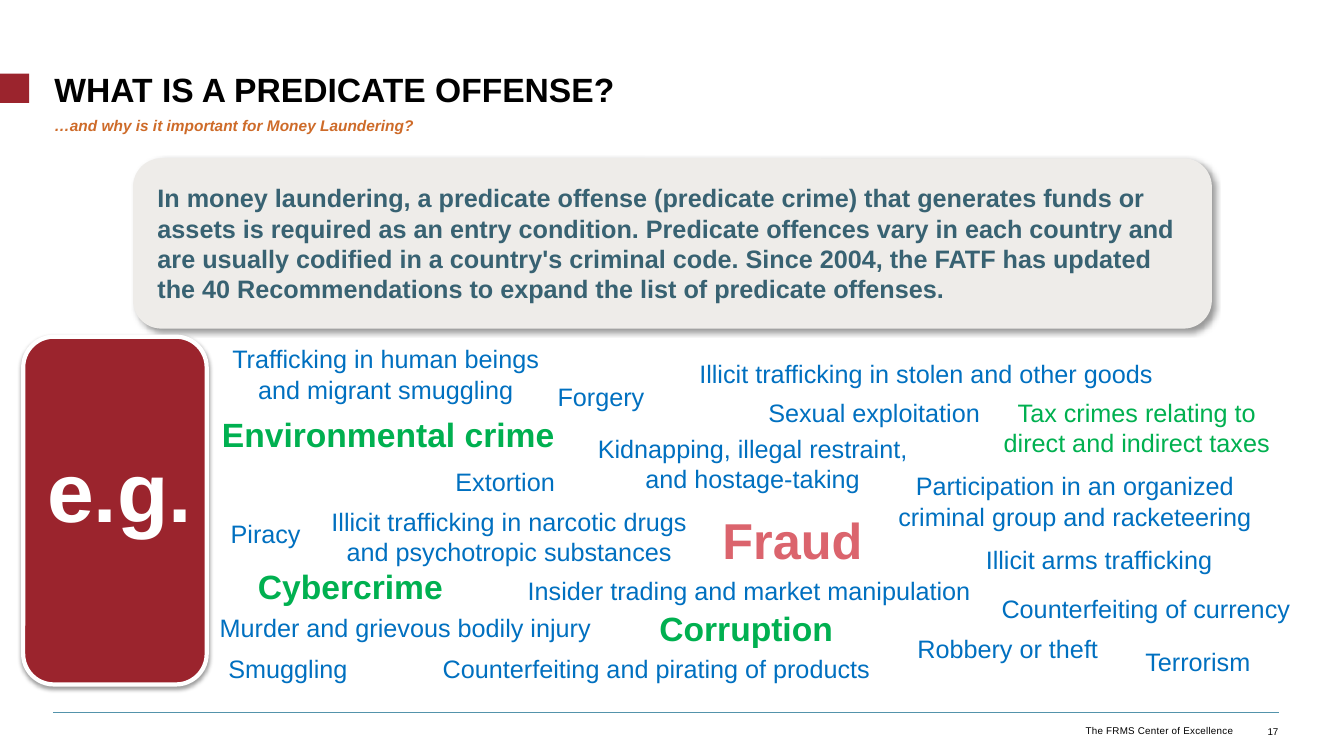
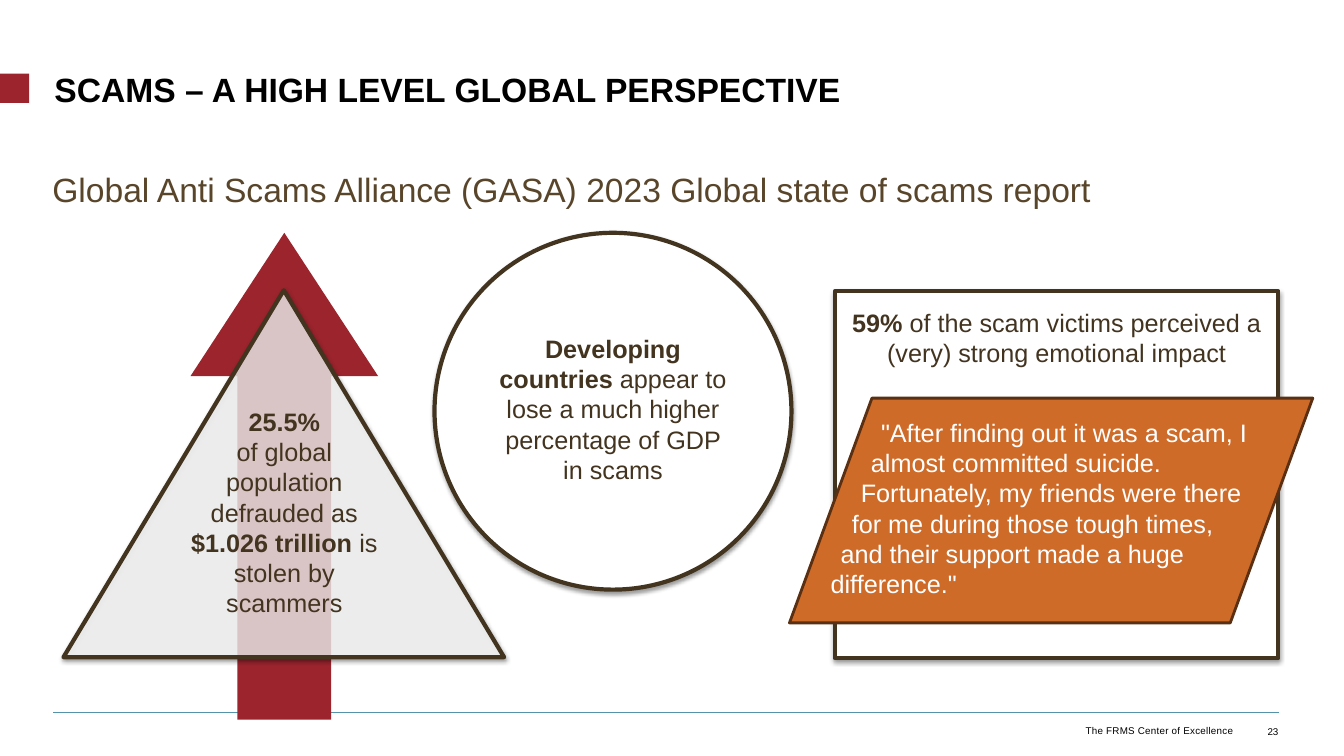
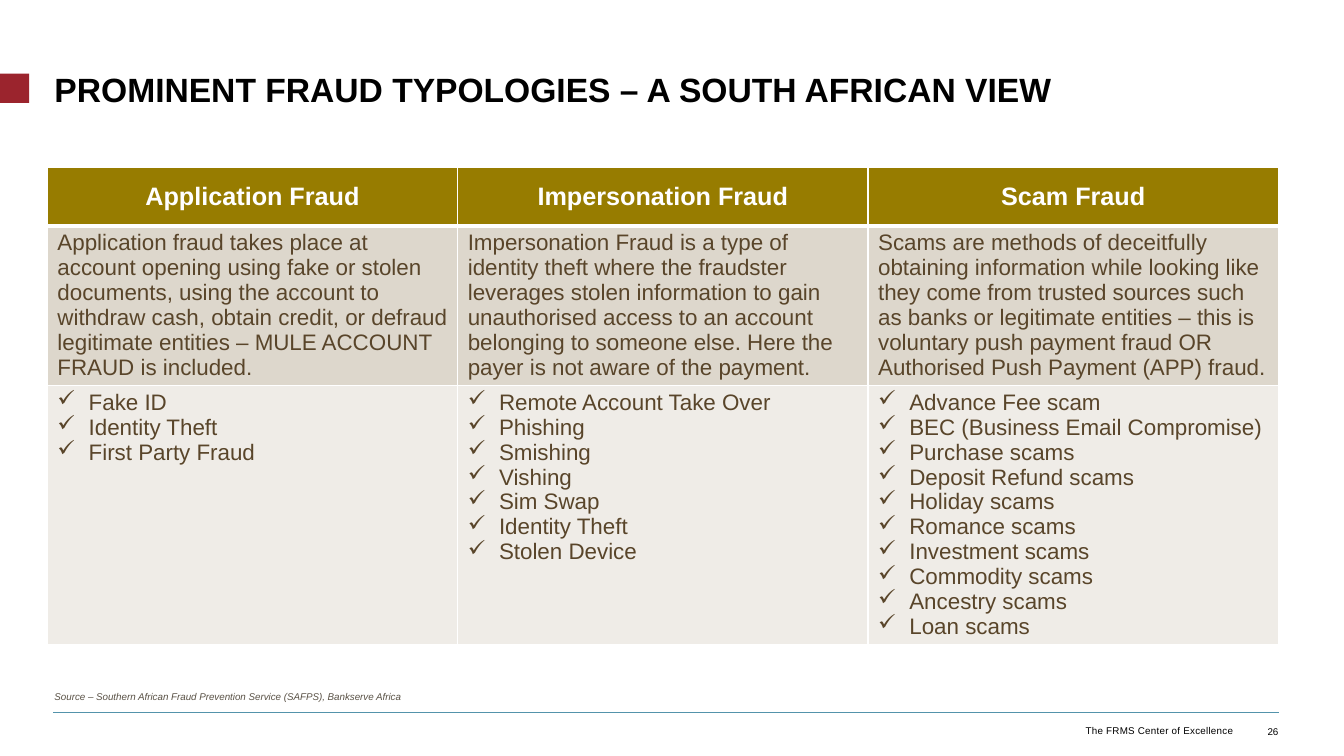
from dataclasses import dataclass

from lxml.etree import SubElement
from pptx import Presentation
from pptx.dml.color import RGBColor
from pptx.enum.shapes import MSO_CONNECTOR as Connector, MSO_SHAPE as Shape
from pptx.enum.text import MSO_ANCHOR as Anchor, MSO_AUTO_SIZE as AutoSize, PP_ALIGN as Align
from pptx.oxml.ns import qn
from pptx.util import Inches, Pt

# Shared look
FONT = "Arial"
BLACK, WHITE = "000000", "FFFFFF"
RED, ORANGE, ROSE = "9B242D", "CE6B29", "DB646D"
BLUE, GREEN, TEAL, SLATE = "0070C0", "00B050", "5393AB", "386272"
BROWN, DARK_BROWN, RUST, GREY = "59452A", "433420", "5A2F12", "595145"
PALE, GOLD, SAND, CREAM = "EEECE9", "977C00", "DDD7CC", "EFECE7"
FOOTER = "The FRMS Center of Excellence"
TITLE_AND_BODY, TITLE_ONLY = 1, 5
NO_INSETS = (0, 0, 0, 0)
USUAL_INSETS = (0.1, 0.05, 0.1, 0.05)


@dataclass
class Box:
    left: float
    top: float
    width: float
    height: float

    def lengths(self):
        return [Inches(v) for v in (self.left, self.top, self.width, self.height)]


@dataclass
class Para:
    """Spans are strings, or (text, bold) pairs."""
    spans: list
    margin: float = 0
    indent: float = 0
    bullet: str = ""


@dataclass
class Shadow:
    alpha: int
    blur: float
    distance: float
    angle: int


@dataclass
class Phrase:
    text: str
    box: Box
    size: int = 18
    color: str = BLUE
    bold: bool = False


@dataclass
class Typology:
    name: str
    definition: str
    examples: list


SOFT = Shadow(38, 3.1, 1.6, 90)


def rgb(color: str) -> RGBColor:
    return RGBColor.from_string(color)


def write(frame, paras, size=18, color=BLACK, bold=False, italic=False, align=Align.LEFT,
          spacing=None, tracking=None) -> None:
    """Fill a text frame; paras is a string or a list of Para."""
    if isinstance(paras, str):
        paras = [Para([paras])]
    for index, item in enumerate(paras):
        para = frame.paragraphs[0] if index == 0 else frame.add_paragraph()
        para.alignment = align
        para.space_before = Pt(0)
        if spacing:
            para.line_spacing = Pt(spacing)
        props = para._p.get_or_add_pPr()
        props.set("marL", str(Inches(item.margin)))
        props.set("indent", str(Inches(item.indent)))
        if item.bullet:
            SubElement(props, qn("a:buChar")).set("char", item.bullet)
        else:
            SubElement(props, qn("a:buNone"))
        for part in item.spans:
            text, heavy = (part, bold) if isinstance(part, str) else part
            span = para.add_run()
            span.text = text
            span.font.name, span.font.size = FONT, Pt(size)
            span.font.bold, span.font.italic = heavy, italic
            span.font.color.rgb = rgb(color)
            if tracking:
                span._r.get_or_add_rPr().set("spc", str(round(tracking * 100)))


def set_frame(frame, insets=USUAL_INSETS, anchor=Anchor.TOP, grow=False) -> None:
    frame.word_wrap = True
    frame.auto_size = AutoSize.SHAPE_TO_FIT_TEXT if grow else AutoSize.NONE
    frame.vertical_anchor = anchor
    (frame.margin_left, frame.margin_top,
     frame.margin_right, frame.margin_bottom) = [Inches(v) for v in insets]


def add_text(page, box: Box, paras, insets=USUAL_INSETS, anchor=Anchor.TOP, grow=True, **style):
    frame = page.shapes.add_textbox(*box.lengths()).text_frame
    set_frame(frame, insets, anchor, grow)
    write(frame, paras, **style)


def fill_placeholder(holder, box: Box, text: str, anchor=Anchor.TOP, **style) -> None:
    holder.left, holder.top, holder.width, holder.height = box.lengths()
    set_frame(holder.text_frame, NO_INSETS, anchor)
    write(holder.text_frame, text, **style)


def add_figure(page, kind, box: Box, fill: str, line=None, weight=3.0, shadow=None,
               opacity=None, adjust=()):
    figure = page.shapes.add_shape(kind, *box.lengths())
    figure.shadow.inherit = False
    for index, value in enumerate(adjust):
        figure.adjustments[index] = value
    figure.fill.solid()
    figure.fill.fore_color.rgb = rgb(fill)
    props = figure._element.spPr
    if opacity:
        tint = props.find(qn("a:solidFill"))[0]
        SubElement(tint, qn("a:alpha")).set("val", str(opacity * 1000))
    if line:
        figure.line.color.rgb = rgb(line)
        figure.line.width = Pt(weight)
    else:
        figure.line.fill.background()
    if shadow:
        outer = SubElement(props.find(qn("a:effectLst")), qn("a:outerShdw"),
                           blurRad=str(Pt(shadow.blur)), dist=str(Pt(shadow.distance)),
                           dir=str(shadow.angle * 60000), rotWithShape="0")
        tint = SubElement(outer, qn("a:srgbClr"), val=BLACK)
        SubElement(tint, qn("a:alpha"), val=str(shadow.alpha * 1000))
    return figure


def add_page(deck, layout: int, title: str, number: int):
    """Start a slide with the title, red marker, footer rule and footer."""
    page = deck.slides.add_slide(deck.slide_layouts[layout])
    add_figure(page, Shape.RECTANGLE, Box(0, 0.73, 0.29, 0.29), RED)
    rule = page.shapes.add_connector(Connector.STRAIGHT, Inches(0.53), Inches(7.07),
                                     Inches(12.69), Inches(7.07))
    rule.line.color.rgb = rgb(TEAL)
    rule.line.width = Pt(0.5)
    SubElement(rule._element.spPr, qn("a:effectLst"))
    fill_placeholder(page.shapes.title, Box(0.54, 0.71, 12.15, 0.32), title, Anchor.MIDDLE,
                     size=24, bold=True, spacing=30.7)
    add_text(page, Box(12.08, 7.14, 0.6, 0.23), str(number), (0, 0.05, 0, 0.05),
             Anchor.MIDDLE, grow=False, size=7, align=Align.RIGHT)
    add_text(page, Box(7.83, 7.14, 4.5, 0.23), FOOTER, grow=False, size=7,
             align=Align.RIGHT, tracking=0.2)
    return page


PHRASES = [
    Phrase("Participation in an organized criminal group and racketeering",
           Box(8.65, 4.62, 4.02, 0.71)),
    Phrase("Terrorism", Box(11.07, 6.36, 1.62, 0.4)),
    Phrase("Trafficking in human beings and migrant smuggling", Box(2.13, 3.36, 3.39, 0.71)),
    Phrase("Sexual exploitation", Box(7.35, 3.89, 2.64, 0.4)),
    Phrase("Illicit trafficking in narcotic drugs and psychotropic substances",
           Box(3.13, 4.97, 3.84, 0.71)),
    Phrase("Illicit arms trafficking", Box(9.46, 5.35, 2.88, 0.4)),
    Phrase("Illicit trafficking in stolen and other goods", Box(6.62, 3.51, 5.13, 0.4)),
    Phrase("Corruption", Box(6.39, 5.98, 2.02, 0.5), 24, GREEN, True),
    Phrase("Fraud", Box(6.99, 5, 1.74, 0.71), 36, ROSE, True),
    Phrase("Counterfeiting of currency", Box(9.81, 5.84, 3.11, 0.4)),
    Phrase("Counterfeiting and pirating of products", Box(4.29, 6.43, 4.44, 0.4)),
    Phrase("Environmental crime", Box(2.02, 4.06, 3.66, 0.5), 24, GREEN, True),
    Phrase("Murder and grievous bodily injury", Box(2, 6.03, 4.04, 0.4)),
    Phrase("Kidnapping, illegal restraint, and hostage-taking", Box(5.81, 4.25, 3.31, 0.71)),
    Phrase("Robbery or theft", Box(8.95, 6.23, 2.09, 0.4)),
    Phrase("Smuggling", Box(2.06, 6.43, 1.59, 0.4)),
    Phrase("Tax crimes relating to direct and indirect taxes",
           Box(9.81, 3.89, 2.93, 0.71), color=GREEN),
    Phrase("Extortion", Box(4.07, 4.58, 1.88, 0.4)),
    Phrase("Forgery", Box(5.37, 3.73, 1.18, 0.4)),
    Phrase("Piracy", Box(2.15, 5.09, 0.97, 0.4)),
    Phrase("Insider trading and market manipulation", Box(3.8, 5.66, 7.26, 0.4)),
    Phrase("Cybercrime", Box(2.44, 5.57, 2.07, 0.5), 24, GREEN, True),
    Phrase("e.g.", Box(0.19, 4.3, 1.99, 1.11), 60, WHITE, True),
]

TYPOLOGIES = [
    Typology(
        "Application Fraud",
        "Application fraud takes place at account opening using fake or stolen documents, "
        "using the account to withdraw cash, obtain credit, or defraud legitimate entities "
        "– MULE ACCOUNT FRAUD is included.",
        ["Fake ID", "Identity Theft", "First Party Fraud"]),
    Typology(
        "Impersonation Fraud",
        "Impersonation Fraud is a type of identity theft where the fraudster leverages stolen "
        "information to gain unauthorised access to an account belonging to someone else. "
        "Here the payer is not aware of the payment.",
        ["Remote Account Take Over", "Phishing", "Smishing", "Vishing", "Sim Swap",
         "Identity Theft", "Stolen Device"]),
    Typology(
        "Scam Fraud",
        "Scams are methods of deceitfully obtaining information while looking like they come "
        "from trusted sources such as banks or legitimate entities – this is voluntary push "
        "payment fraud OR Authorised Push Payment (APP) fraud.",
        ["Advance Fee scam", "BEC (Business Email Compromise)", "Purchase scams",
         "Deposit Refund scams", "Holiday scams", "Romance scams", "Investment scams",
         "Commodity scams", "Ancestry scams", "Loan scams"]),
]


def build_offense_page(deck) -> None:
    page = add_page(deck, TITLE_AND_BODY, "WHAT IS A PREDICATE OFFENSE?", 17)
    fill_placeholder(page.placeholders[1], Box(0.54, 1.15, 12.15, 0.31),
                     "…and why is it important for Money Laundering?",
                     size=11, color=ORANGE, bold=True, italic=True)
    # Definition panel
    panel = add_figure(page, Shape.ROUNDED_RECTANGLE, Box(1.32, 1.57, 10.7, 1.69), PALE,
                       shadow=Shadow(40, 4, 3, 45))
    set_frame(panel.text_frame, (0.16, 0.16, 0.16, 0.16), grow=True)
    write(panel.text_frame,
          "In money laundering, a predicate offense (predicate crime) that generates funds or "
          "assets is required as an entry condition. Predicate offences vary in each country "
          "and are usually codified in a country's criminal code. Since 2004, the FATF has "
          "updated the 40 Recommendations to expand the list of predicate offenses.",
          color=SLATE, bold=True)
    # Cloud of examples
    add_figure(page, Shape.ROUNDED_RECTANGLE, Box(0.23, 3.34, 1.82, 3.45), RED, WHITE,
               shadow=SOFT)
    for phrase in PHRASES:
        add_text(page, phrase.box, phrase.text, size=phrase.size, color=phrase.color,
                 bold=phrase.bold, align=Align.CENTER)


def build_scams_page(deck) -> None:
    page = add_page(deck, TITLE_ONLY, "SCAMS – A HIGH LEVEL GLOBAL PERSPECTIVE", 23)
    centred = dict(color=DARK_BROWN, align=Align.CENTER)
    outlined = dict(fill=WHITE, line=DARK_BROWN, shadow=SOFT)
    # Arrow and triangle
    add_figure(page, Shape.UP_ARROW, Box(1.89, 2.31, 1.86, 4.83), RED, adjust=(0.5, 0.764))
    add_figure(page, Shape.ISOSCELES_TRIANGLE, Box(0.63, 2.88, 4.37, 3.64), opacity=75,
               **outlined)
    add_text(page, Box(1.78, 3.98, 2.08, 2.22), [
        Para([("25.5%", True)]),
        Para(["of global population defrauded as ", ("$1.026 trillion", True),
              " is stolen by scammers"]),
    ], **centred)
    # Circle
    circle = add_figure(page, Shape.OVAL, Box(4.31, 2.31, 3.54, 3.54), **outlined)
    set_frame(circle.text_frame, (0.1, 0, 0.1, 0.05), Anchor.MIDDLE)
    write(circle.text_frame, [Para([
        ("Developing countries ", True),
        "appear to lose a much higher percentage of GDP in scams"])], **centred)
    # Emotional impact and quote
    impact = add_figure(page, Shape.RECTANGLE, Box(8.28, 2.89, 4.4, 3.64), **outlined)
    set_frame(impact.text_frame, (0.1, 0.16, 0.1, 0.05))
    write(impact.text_frame, [Para([
        ("59%", True),
        " of the scam victims perceived a (very) strong emotional impact"])], **centred)
    add_figure(page, Shape.PARALLELOGRAM, Box(7.83, 3.95, 5.19, 2.23), ORANGE, RUST, 2,
               adjust=(0.367,))
    add_text(page, Box(8.05, 4.09, 4.76, 1.98), [
        Para(['"After finding out it was a scam, I almost committed suicide.'], 0.49, 0.1),
        Para(["Fortunately, my friends were there"], 0.29, 0.1),
        Para(["for me during those tough times,"], 0.2, 0.1),
        Para(['and their support made a huge difference."'], 0.09, 0.1),
    ], grow=False, color=WHITE)
    add_text(page, Box(0.42, 1.63, 12.28, 0.5),
             "Global Anti Scams Alliance (GASA) 2023 Global state of scams report",
             size=24, color=BROWN)


def format_cell(cell, fill: str, top=1, bottom=1, anchor=Anchor.TOP) -> None:
    """Give a cell white borders (widths in points), a fill and an anchor."""
    props = cell._tc.get_or_add_tcPr()
    for side, weight in (("L", 1), ("R", 1), ("T", top), ("B", bottom)):
        border = SubElement(props, qn(f"a:ln{side}"), w=str(Pt(weight)))
        SubElement(SubElement(border, qn("a:solidFill")), qn("a:srgbClr"), val=WHITE)
    cell.fill.solid()
    cell.fill.fore_color.rgb = rgb(fill)
    cell.vertical_anchor = anchor


def build_typologies_page(deck) -> None:
    page = add_page(deck, TITLE_AND_BODY,
                    "PROMINENT FRAUD TYPOLOGIES – A SOUTH AFRICAN VIEW", 26)
    fill_placeholder(
        page.placeholders[1], Box(0.54, 6.85, 12.15, 0.22),
        "Source – Southern African Fraud Prevention Service (SAFPS), Bankserve Africa",
        size=7, color=GREY, italic=True)
    # One column per typology
    heights = [0.58, 1.56, 2.57]
    table = page.shapes.add_table(len(heights), len(TYPOLOGIES),
                                  *Box(0.47, 1.66, 12.21, sum(heights)).lengths()).table
    for row, height in zip(table.rows, heights):
        row.height = Inches(height)
    for index, typology in enumerate(TYPOLOGIES):
        table.columns[index].width = Inches(4.07)
        header, definition, examples = [table.cell(row, index) for row in range(len(heights))]
        format_cell(header, GOLD, bottom=3, anchor=Anchor.MIDDLE)
        write(header.text_frame, typology.name, color=WHITE, bold=True, align=Align.CENTER)
        format_cell(definition, SAND, top=3)
        write(definition.text_frame, typology.definition, size=16, color=BROWN)
        format_cell(examples, CREAM)
        write(examples.text_frame,
              [Para([name], 0.31, -0.31, "✓") for name in typology.examples],
              size=16, color=BROWN)


def main() -> None:
    deck = Presentation()
    deck.slide_width, deck.slide_height = Inches(13.33), Inches(7.5)
    build_offense_page(deck)
    build_scams_page(deck)
    build_typologies_page(deck)
    deck.save("out.pptx")


if __name__ == "__main__":
    main()
